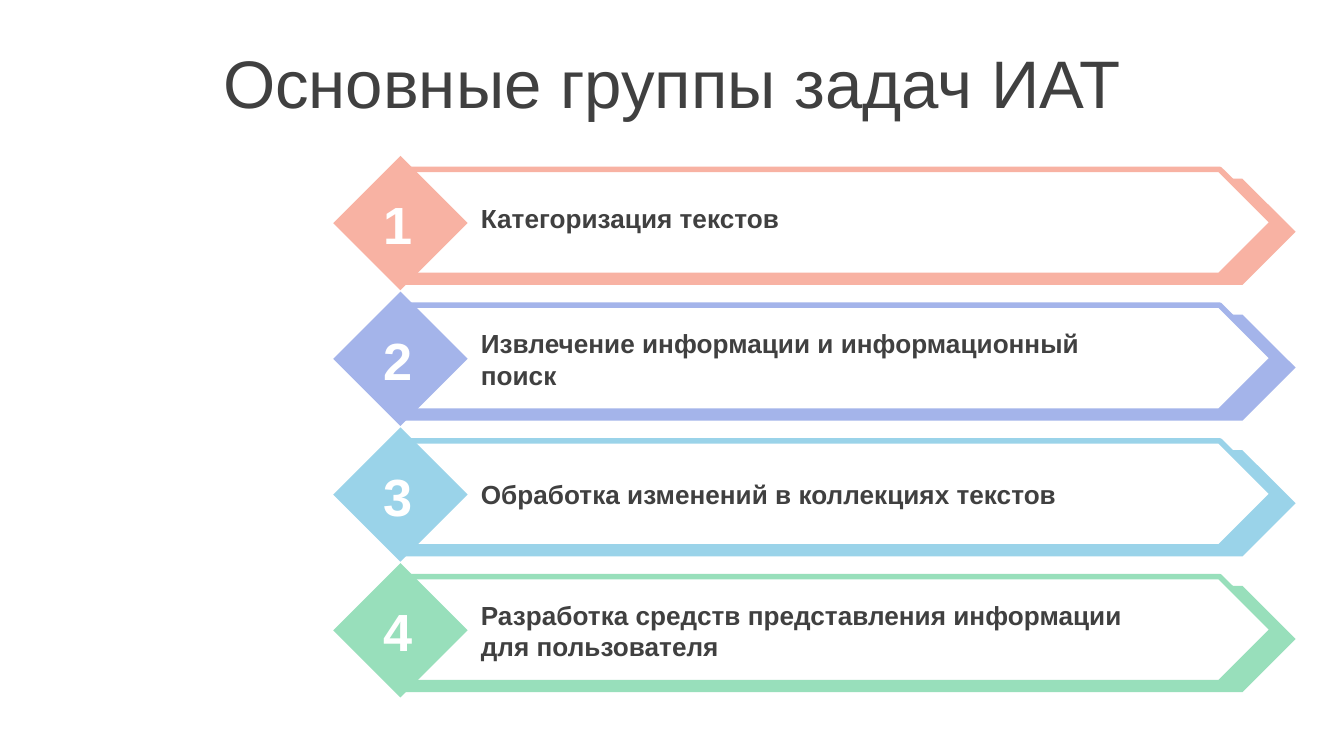
"""Build a slide listing the main task groups as numbered arrow banners."""
from dataclasses import dataclass

from pptx import Presentation
from pptx.dml.color import RGBColor
from pptx.enum.shapes import MSO_SHAPE
from pptx.enum.text import MSO_ANCHOR, MSO_AUTO_SIZE, PP_ALIGN
from pptx.util import Inches, Pt

PENTAGON, DIAMOND = MSO_SHAPE.PENTAGON, MSO_SHAPE.DIAMOND
TOP, MIDDLE = MSO_ANCHOR.TOP, MSO_ANCHOR.MIDDLE
NO_FIT = MSO_AUTO_SIZE.NONE
LEFT, CENTER = PP_ALIGN.LEFT, PP_ALIGN.CENTER

TITLE = "Основные группы задач ИАТ"
TITLE_ONLY = 5
WIDTH = 10
HEIGHT = WIDTH * 9 / 16
ROW_TOP, ROW_STEP = 1.16, 1.01


@dataclass(frozen=True)
class Theme:
    """Colours, font and type sizes of the slide."""

    font: str = "Arial"
    ink: str = "404040"
    paper: str = "FFFFFF"
    title_size: int = 36
    number_size: int = 28
    label_size: int = 14
    border: int = 3


@dataclass(frozen=True)
class Task:
    """A task group with its accent colour, label offset and label height."""

    label: str
    color: str
    label_dy: float
    label_height: float


THEME = Theme()
TASKS = (
    Task("Категоризация текстов", "F8B2A3", 0.3, 0.34),
    Task("Извлечение информации и информационный поиск", "A4B4EA", 0.22, 0.57),
    Task("Обработка изменений в коллекциях текстов", "9AD3E9", 0.33, 0.34),
    Task("Разработка средств представления информации для пользователя",
         "98DFBB", 0.22, 0.57),
)


def write(sp, text, size, color, align, anchor=MIDDLE, bold=True):
    """Set the text of a shape as one formatted paragraph."""
    tf = sp.text_frame
    tf.text = text
    tf.word_wrap = True
    tf.auto_size = NO_FIT
    tf.vertical_anchor = anchor
    p = tf.paragraphs[0]
    p.alignment = align
    p.font.name = THEME.font
    p.font.size = Pt(size)
    p.font.bold = bold
    p.font.color.rgb = RGBColor.from_string(color)


def add_title(s):
    """Place and format the title placeholder."""
    sp = s.shapes.title
    sp.left, sp.top = 0, Inches(0.29)
    sp.width, sp.height = Inches(WIDTH), Inches(0.63)
    write(sp, TITLE, THEME.title_size, THEME.ink, CENTER, bold=False)


def add_block(shapes, kind, box, fill, line=None):
    """Add a flat filled shape, outlined when a line colour is given."""
    sp = shapes.add_shape(kind, *map(Inches, box))
    sp.shadow.inherit = False
    sp.fill.solid()
    sp.fill.fore_color.rgb = RGBColor.from_string(fill)
    if line:
        sp.line.color.rgb = RGBColor.from_string(line)
        sp.line.width = Pt(THEME.border)
    else:
        sp.line.fill.background()


def add_text(s, box, *style):
    """Add a wrapped text box."""
    write(s.shapes.add_textbox(*map(Inches, box)), *style)


def add_banner(s, index, task):
    """Add one numbered banner on its row."""
    top = ROW_TOP + index * ROW_STEP
    shapes = s.shapes.add_group_shape().shapes
    add_block(shapes, PENTAGON, (3, top + 0.17, 6.64, 0.79), task.color)
    add_block(shapes, PENTAGON, (3, top + 0.1, 6.47, 0.79), THEME.paper, task.color)
    add_block(shapes, DIAMOND, (2.48, top, 1, 1), task.color)
    add_text(s, (2.74, top + 0.22, 0.44, 0.57), str(index + 1),
             THEME.number_size, THEME.paper, CENTER)
    add_text(s, (3.48, top + task.label_dy, 5.2, task.label_height), task.label,
             THEME.label_size, THEME.ink, LEFT, TOP)


def main():
    """Build and save the presentation."""
    prs = Presentation()
    prs.slide_width, prs.slide_height = Inches(WIDTH), Inches(HEIGHT)
    s = prs.slides.add_slide(prs.slide_layouts[TITLE_ONLY])
    add_title(s)
    for index, task in enumerate(TASKS):
        add_banner(s, index, task)
    prs.save("out.pptx")


if __name__ == "__main__":
    main()
